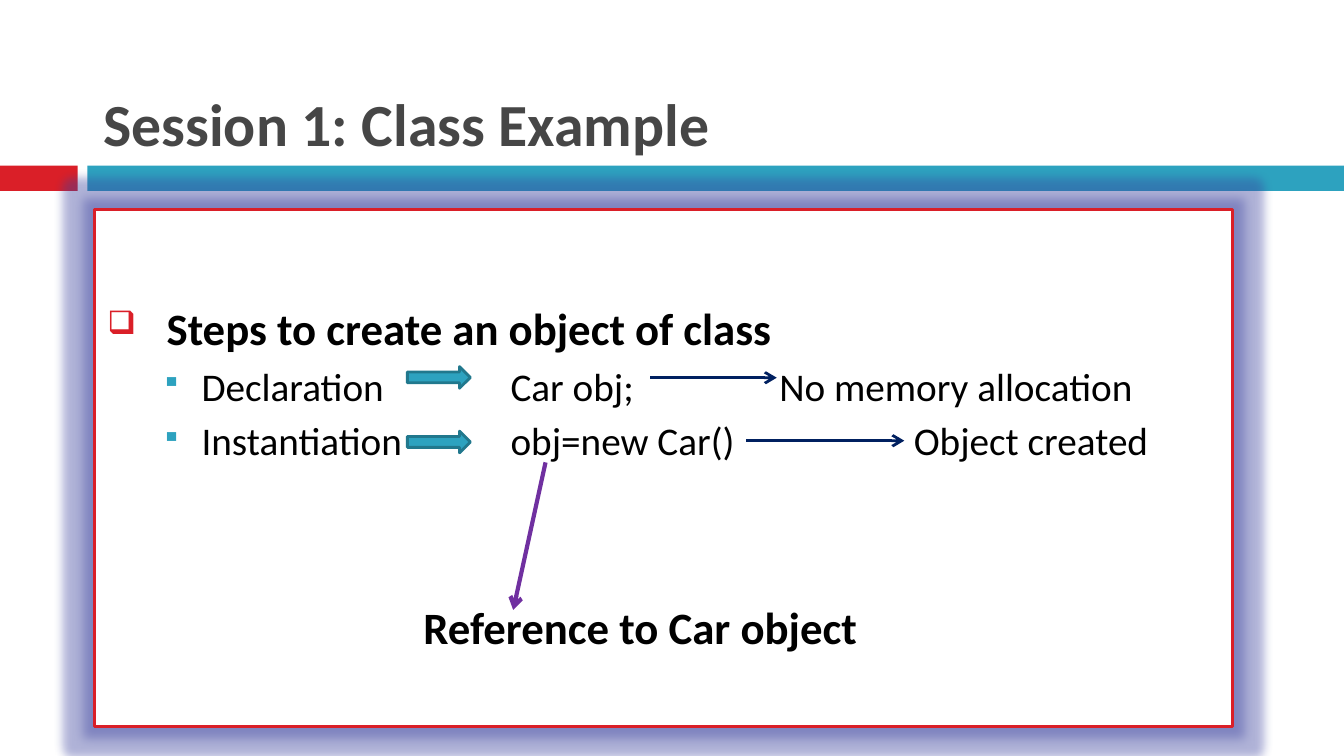
from dataclasses import dataclass

from lxml import etree
from pptx import Presentation
from pptx.dml.color import RGBColor
from pptx.enum.shapes import MSO_CONNECTOR, MSO_SHAPE
from pptx.enum.text import MSO_ANCHOR, PP_ALIGN
from pptx.oxml.ns import qn
from pptx.util import Cm, Pt

RECT, RIGHT_ARROW = MSO_SHAPE.RECTANGLE, MSO_SHAPE.RIGHT_ARROW
STRAIGHT = MSO_CONNECTOR.STRAIGHT
BOTTOM, MIDDLE, LEFT = MSO_ANCHOR.BOTTOM, MSO_ANCHOR.MIDDLE, PP_ALIGN.LEFT


@dataclass(frozen=True)
class Theme:
    font: str = "Calibri"
    title: str = "464646"
    text: str = "000000"
    white: str = "FFFFFF"
    red: str = "DA1F28"
    teal: str = "2DA2BF"
    teal_dark: str = "21788D"
    navy: str = "002060"
    purple: str = "7030A0"
    glow: str = "39409D"
    title_size: int = 32
    heading_size: int = 24
    step_size: int = 21


@dataclass(frozen=True)
class Box:
    x: float
    y: float
    w: float
    h: float


@dataclass(frozen=True)
class Line:
    text: str
    size: int
    margin: float
    hanging: float = 0
    before: float = 0
    bold: bool = False
    bullet: str = ""
    bullet_color: str = ""
    bullet_percent: int = 100
    tabs: tuple[float, ...] = ()


@dataclass(frozen=True)
class Arrow:
    x1: float
    y1: float
    x2: float
    y2: float
    color: str
    width: float


T = Theme()
BARS = [(Box(0, 3.13, 1.47, 0.48), T.red), (Box(1.65, 3.13, 23.75, 0.48), T.teal)]
PANEL = Box(1.78, 3.96, 21.51, 9.78)
STEP = dict(size=T.step_size, margin=1.78, hanging=0.76, before=4.2,
            bullet="▪", bullet_color=T.teal, bullet_percent=70)
LINES = [
    Line("Steps to create an object of class", T.heading_size, 1.12, 1.12,
         bold=True, bullet="❑", bullet_color=T.red, bullet_percent=72),
    Line("Declaration\tCar obj;\tNo memory allocation", tabs=(7.62, 12.7), **STEP),
    Line("Instantiation\tobj=new Car()\tObject created", tabs=(7.62, 15.24), **STEP),
    Line("Reference to Car object", T.heading_size, 5.97, before=73, bold=True),
]
BLOCK_ARROWS = [Box(7.7, y, 1.19, 0.41) for y in (6.93, 8.15)]
ARROWS = [
    Arrow(12.29, 7.14, 14.68, 7.14, T.navy, 1.5),
    Arrow(14.1, 8.33, 17.09, 8.33, T.navy, 1.5),
    Arrow(10.31, 8.74, 9.7, 11.53, T.purple, 2.25),
]


def rgb(color: str) -> RGBColor:
    return RGBColor.from_string(color)


def add_child(parent, tag: str, **attrs):
    return etree.SubElement(parent, qn(tag), {k: str(v) for k, v in attrs.items()})


def add_box(s, kind, box: Box, fill: str, line: str = ""):
    sp = s.shapes.add_shape(kind, Cm(box.x), Cm(box.y), Cm(box.w), Cm(box.h))
    sp.shadow.inherit = False
    sp.fill.solid()
    sp.fill.fore_color.rgb = rgb(fill)
    if line:
        sp.line.color.rgb = rgb(line)
        sp.line.width = Pt(1.5)
    else:
        sp.line.fill.background()
    return sp


def add_glow(sp, color: str, radius: float) -> None:
    effects = sp._element.spPr.find(qn("a:effectLst"))
    glow = add_child(effects, "a:glow", rad=Pt(radius))
    clr = add_child(glow, "a:srgbClr", val=color)
    add_child(clr, "a:alpha", val=40000)


def write_line(p, line: Line) -> None:
    p.text = line.text
    p.alignment = LEFT
    p.space_before = Pt(line.before)
    pPr = p._p.get_or_add_pPr()
    pPr.set("marL", str(Cm(line.margin)))
    pPr.set("indent", str(-Cm(line.hanging)))
    if line.bullet:
        add_child(add_child(pPr, "a:buClr"), "a:srgbClr", val=line.bullet_color)
        add_child(pPr, "a:buSzPct", val=line.bullet_percent * 1000)
        add_child(pPr, "a:buChar", char=line.bullet)
    if line.tabs:
        tabs = add_child(pPr, "a:tabLst")
        for pos in line.tabs:
            add_child(tabs, "a:tab", pos=Cm(pos), algn="l")
    for r in p.runs:
        style_font(r.font, line.size, T.text, line.bold)


def style_font(font, size: int, color: str, bold: bool) -> None:
    font.name, font.size, font.bold = T.font, Pt(size), bold
    font.color.rgb = rgb(color)


def add_title(s, text: str, box: Box) -> None:
    sp = s.shapes.title
    sp.left, sp.top, sp.width, sp.height = Cm(box.x), Cm(box.y), Cm(box.w), Cm(box.h)
    tf = sp.text_frame
    tf.text = text
    tf.vertical_anchor = BOTTOM
    p = tf.paragraphs[0]
    p.alignment = LEFT
    style_font(p.runs[0].font, T.title_size, T.title, True)


def add_panel(s) -> None:
    sp = add_box(s, RECT, PANEL, T.white, T.red)
    add_glow(sp, T.glow, 11)
    tf = sp.text_frame
    tf.word_wrap = True
    tf.vertical_anchor = MIDDLE
    tf.margin_top = Cm(0.46)
    for i, line in enumerate(LINES):
        write_line(tf.add_paragraph() if i else tf.paragraphs[0], line)


def add_arrow(s, arrow: Arrow) -> None:
    sp = s.shapes.add_connector(STRAIGHT, Cm(arrow.x1), Cm(arrow.y1),
                                Cm(arrow.x2), Cm(arrow.y2))
    sp.line.color.rgb = rgb(arrow.color)
    sp.line.width = Pt(arrow.width)
    add_child(sp.line._get_or_add_ln(), "a:tailEnd", type="arrow")
    add_child(sp._element.spPr, "a:effectLst")


def main() -> None:
    prs = Presentation()
    prs.slide_width, prs.slide_height = Cm(25.4), Cm(14.29)
    s = prs.slides.add_slide(prs.slide_layouts[5])
    for box, color in BARS:
        add_box(s, RECT, box, color)
    add_title(s, "Session 1: Class Example", Box(1.7, 0.33, 23.7, 2.79))
    add_panel(s)
    for box in BLOCK_ARROWS:
        add_box(s, RIGHT_ARROW, box, T.teal, T.teal_dark)
    for arrow in ARROWS:
        add_arrow(s, arrow)
    prs.save("out.pptx")


if __name__ == "__main__":
    main()
